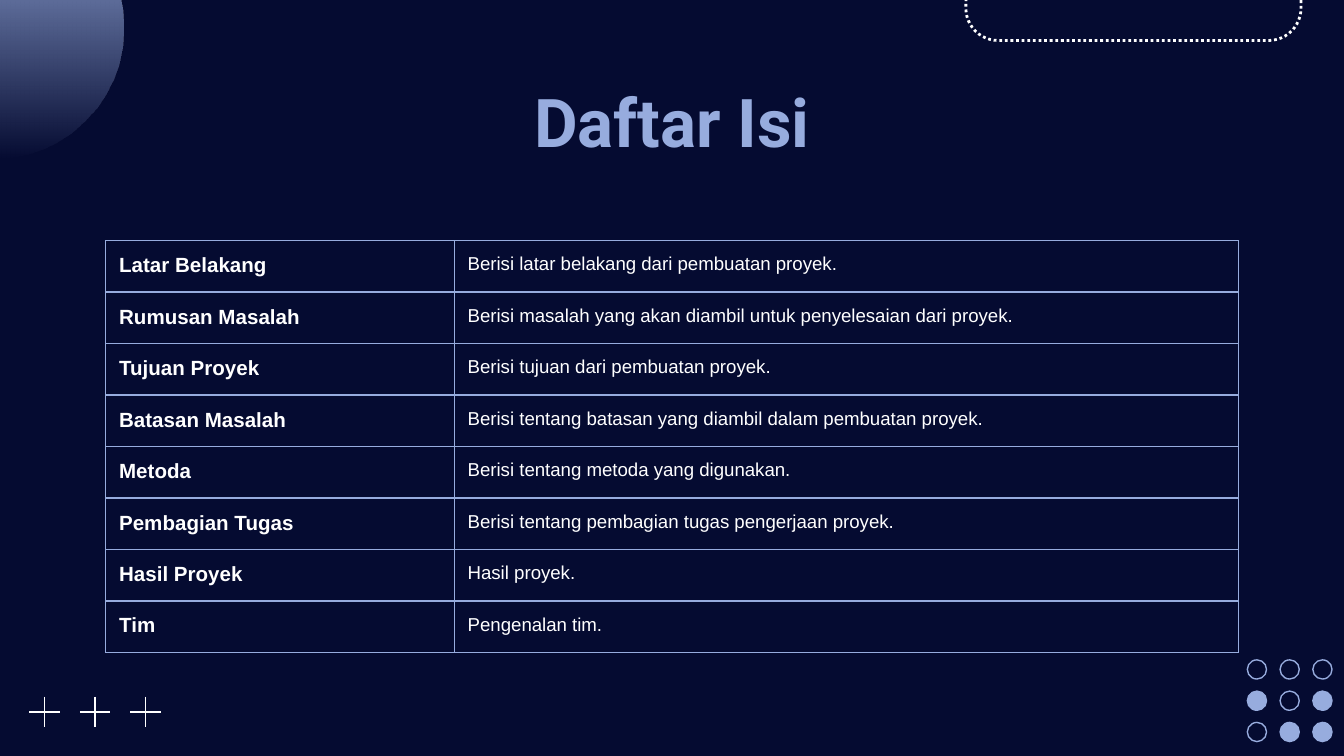
from lxml import etree
from pptx import Presentation
from pptx.dml.color import RGBColor
from pptx.enum.dml import MSO_LINE
from pptx.enum.shapes import MSO_CONNECTOR, MSO_SHAPE
from pptx.enum.text import MSO_ANCHOR, PP_ALIGN
from pptx.oxml import parse_xml
from pptx.oxml.ns import nsdecls, qn
from pptx.util import Pt

COLORS = {"navy": "050B31", "blue": "97ACDE", "white": "FFFFFF"}
CONTENTS = [
    ("Latar Belakang", "Berisi latar belakang dari pembuatan proyek."),
    ("Rumusan Masalah", "Berisi masalah yang akan diambil untuk penyelesaian dari proyek."),
    ("Tujuan Proyek", "Berisi tujuan dari pembuatan proyek."),
    ("Batasan Masalah", "Berisi tentang batasan yang diambil dalam pembuatan proyek."),
    ("Metoda", "Berisi tentang metoda yang digunakan."),
    ("Pembagian Tugas", "Berisi tentang pembagian tugas pengerjaan proyek."),
    ("Hasil Proyek", "Hasil proyek."),
    ("Tim", "Pengenalan tim."),
]
DOT_ROWS = ["000", "101", "011"]


def rgb(name):
    """Return the palette colour of that name."""
    return RGBColor.from_string(COLORS[name])


def style_font(font, name, size, color, bold):
    """Set the typeface, size, colour and weight of a font."""
    font.name, font.size, font.bold = name, Pt(size), bold
    font.color.rgb = rgb(color)


def add_outline(slide, kind, x, y, w, h, color, width):
    """Add an unfilled, shadowless preset shape with a coloured line."""
    sp = slide.shapes.add_shape(kind, Pt(x), Pt(y), Pt(w), Pt(h))
    sp.shadow.inherit = False
    sp.fill.background()
    sp.line.color.rgb = rgb(color)
    sp.line.width = Pt(width)
    return sp


def add_line(slide, x1, y1, x2, y2):
    """Add a thin white straight line."""
    line = slide.shapes.add_connector(MSO_CONNECTOR.STRAIGHT, Pt(x1), Pt(y1), Pt(x2), Pt(y2))
    line.line.color.rgb = rgb("white")
    line.line.width = Pt(0.75)
    etree.SubElement(line._element.spPr, qn("a:effectLst"))


def add_fading_circle(slide, x, y, size):
    """Add the corner circle that fades out towards its bottom."""
    sp = add_outline(slide, MSO_SHAPE.OVAL, x, y, size, size, "blue", 0.75)
    sp.line.fill.background()
    sp.fill.gradient()
    sp.fill.gradient_angle = 270
    for stop, position in zip(sp.fill.gradient_stops, (0, 1)):
        stop.color.rgb = rgb("blue")
        stop.position = position
    last_color = sp._element.spPr.findall(".//" + qn("a:srgbClr"))[-1]
    etree.SubElement(last_color, qn("a:alpha"), val="0")


def add_dot_grid(slide, x, y, w, h, size=10.3):
    """Add the grid of hollow and filled dots within a box."""
    x_step, y_step = (w - size) / 2, (h - size) / 2
    for row, flags in enumerate(DOT_ROWS):
        for col, flag in enumerate(flags):
            sp = add_outline(slide, MSO_SHAPE.OVAL, x + col * x_step, y + row * y_step,
                             size, size, "blue", 0.75)
            if flag == "1":
                sp.fill.solid()
                sp.fill.fore_color.rgb = rgb("blue")


def add_dotted_frame(slide, x, y, w, h):
    """Add the dotted rounded frame that hangs from the top edge."""
    sp = add_outline(slide, MSO_SHAPE.ROUNDED_RECTANGLE, x, y, w, h, "white", 1.5)
    sp.adjustments[0] = 0.393
    sp.line.dash_style = MSO_LINE.ROUND_DOT


def add_crosses(slide, x, y, w, size, count=3):
    """Add a row of evenly spaced crosses within a box."""
    half, step = size / 2, (w - size) / (count - 1)
    cy = y + half
    for i in range(count):
        cx = x + half + i * step
        add_line(slide, cx, y, cx, y + size)
        add_line(slide, cx - half, cy, cx + half, cy)


def set_title(slide, x, y, w, h):
    """Place and format the title placeholder."""
    title = slide.shapes.title
    title.left, title.top, title.width, title.height = Pt(x), Pt(y), Pt(w), Pt(h)
    tf = title.text_frame
    tf.text = "Daftar Isi"
    tf.word_wrap = True
    tf.vertical_anchor = MSO_ANCHOR.MIDDLE
    tf.margin_left = tf.margin_right = tf.margin_top = tf.margin_bottom = Pt(7.2)
    p = tf.paragraphs[0]
    p.alignment = PP_ALIGN.CENTER
    style_font(p.runs[0].font, "Roboto", 36, "blue", True)


def set_borders(cell):
    """Draw a thin blue border on the four sides of a cell."""
    tc_pr = cell._tc.get_or_add_tcPr()
    for i, side in enumerate(("lnL", "lnR", "lnT", "lnB")):
        tc_pr.insert(i, parse_xml(
            f'<a:{side} {nsdecls("a")} w="9525"><a:solidFill><a:srgbClr val="{COLORS["blue"]}"/>'
            f'</a:solidFill><a:prstDash val="solid"/></a:{side}>'))


def add_contents_table(slide, x, y, w, h, label_w=186.75):
    """Add the table of contents with bold labels and descriptions."""
    frame = slide.shapes.add_table(len(CONTENTS), 2, Pt(x), Pt(y), Pt(w), Pt(h))
    table = frame.table
    table.first_row = table.horz_banding = False
    table.columns[0].width, table.columns[1].width = Pt(label_w), Pt(w - label_w)
    for row, texts in enumerate(CONTENTS):
        table.rows[row].height = Pt(h / len(CONTENTS))
        for col, text in enumerate(texts):
            cell = table.cell(row, col)
            cell.fill.background()
            cell.margin_left = cell.margin_right = cell.margin_top = cell.margin_bottom = Pt(7.2)
            cell.vertical_anchor = MSO_ANCHOR.TOP
            p = cell.text_frame.paragraphs[0]
            p.text = text
            style_font(p.runs[0].font, "Arial", 10 if col else 11, "white", col == 0)
            set_borders(cell)


def main():
    """Build the contents slide and save it."""
    prs = Presentation()
    prs.slide_width, prs.slide_height = Pt(720), Pt(405)
    slide = prs.slides.add_slide(prs.slide_layouts[5])
    slide.background.fill.solid()
    slide.background.fill.fore_color.rgb = rgb("navy")
    add_fading_circle(slide, -74.5, -55.5, 140.5)
    add_dot_grid(slide, 668.2, 353.5, 45.4, 43.8)
    add_dotted_frame(slide, 517.5, -22.3, 179.5, 44)
    add_crosses(slide, 15.7, 373.2, 70.5, 16.4)
    set_title(slide, 56.25, 35.3, 607.5, 58.3)
    add_contents_table(slide, 56.6, 128.9, 606.75, 220.8)
    prs.save("out.pptx")


if __name__ == "__main__":
    main()
